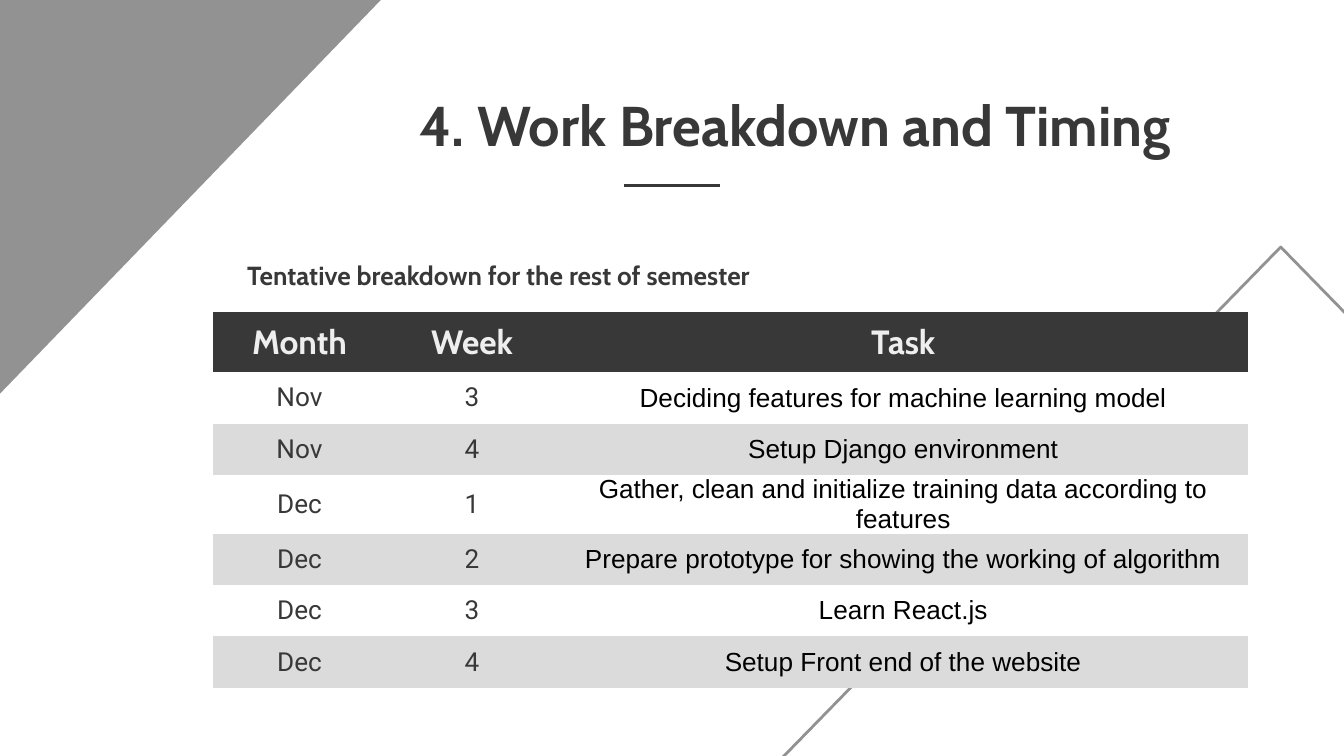
from pptx import Presentation
from pptx.dml.color import RGBColor
from pptx.enum import shapes, text
from pptx.oxml.ns import qn
from pptx.util import Cm, Pt
from lxml import etree

DARK = RGBColor(0x38, 0x38, 0x38)
GREY = RGBColor(0x92, 0x92, 0x92)
BAND = RGBColor(0xDB, 0xDB, 0xDB)
PALE = RGBColor(0xEE, 0xEE, 0xEE)
WHITE = RGBColor(0xFF, 0xFF, 0xFF)
BLACK = RGBColor(0, 0, 0)

NO_TABLE_STYLE = "{2D5ABB26-0587-4C30-8999-92F81FD0307C}"
TASK_COLUMN = 2

HEADINGS = ("Month", "Week", "Task")
SCHEDULE = (
    ("Nov", "3", "Deciding features for machine learning model"),
    ("Nov", "4", "Setup Django environment"),
    ("Dec", "1", "Gather, clean and initialize training data according to features"),
    ("Dec", "2", "Prepare prototype for showing the working of algorithm"),
    ("Dec", "3", "Learn React.js"),
    ("Dec", "4", "Setup Front end of the website"),
)

HEADING_FONT = {"name": "Cabin", "size": Pt(18), "bold": True}
LABEL_FONT = {"name": "Roboto", "size": Pt(14), "bold": False}
TASK_FONT = {"name": "Arial", "size": Pt(14), "bold": False}


def write(frame, words, font, color, align):
    """Fill the frame's first paragraph with one formatted run."""
    para = frame.paragraphs[0]
    para.alignment = align
    span = para.add_run()
    span.text = words
    for key, value in font.items():
        setattr(span.font, key, value)
    span.font.color.rgb = color
    return para


def format_frame(frame):
    inset = Cm(0.25)
    for key, value in {
        "word_wrap": True,
        "auto_size": text.MSO_AUTO_SIZE.NONE,
        "vertical_anchor": text.MSO_ANCHOR.TOP,
        "margin_left": inset,
        "margin_right": inset,
        "margin_top": inset,
        "margin_bottom": inset,
    }.items():
        setattr(frame, key, value)


deck = Presentation()
deck.slide_width, deck.slide_height = Cm(25.4), Cm(14.29)
page = deck.slides.add_slide(deck.slide_layouts[5])

# Background triangles
corner = page.shapes.add_shape(
    shapes.MSO_SHAPE.RIGHT_TRIANGLE, Cm(-0.79), Cm(-0.3), Cm(8.28), Cm(8.56))
corner.shadow.inherit = False
corner.fill.solid()
corner.fill.fore_color.rgb = GREY
corner.line.fill.background()
corner._element.spPr.xfrm.set("flipV", "1")

peak = page.shapes.add_shape(
    shapes.MSO_SHAPE.ISOSCELES_TRIANGLE, Cm(13.92), Cm(4.67), Cm(20.57), Cm(10.54))
peak.shadow.inherit = False
peak.fill.background()
peak.line.color.rgb = GREY
peak.line.width = Pt(1.5)

# Title, rule and subtitle
title = page.shapes.title
title.left, title.top, title.width, title.height = Cm(4.8), Cm(1.47), Cm(20.45), Cm(1.47)
format_frame(title.text_frame)
write(title.text_frame, "4. Work Breakdown and Timing",
      {"name": "Cabin", "size": Pt(30), "bold": True}, DARK, text.PP_ALIGN.CENTER)

rule = page.shapes.add_connector(
    shapes.MSO_CONNECTOR.STRAIGHT, Cm(11.8), Cm(3.5), Cm(13.6), Cm(3.5))
rule.line.color.rgb = DARK
rule.line.width = Pt(1.5)
etree.SubElement(rule._element.spPr, qn("a:effectLst"))

subtitle = page.shapes.add_textbox(Cm(3.15), Cm(4.65), Cm(14.43), Cm(1.47))
format_frame(subtitle.text_frame)
para = write(subtitle.text_frame, "Tentative breakdown for the rest of semester",
             {"name": "Cabin", "size": Pt(14), "bold": True}, DARK, text.PP_ALIGN.LEFT)
para._p.get_or_add_pPr().set("marL", str(Cm(1.27)))

# Schedule table; each task spans the last four of six equal columns
column_width, heading_height, row_height = Cm(3.26), Cm(1.14), Cm(0.97)
row_count, column_count = len(SCHEDULE) + 1, 6
holder = page.shapes.add_table(
    row_count, column_count, Cm(4.03), Cm(5.9),
    column_width * column_count, heading_height + row_height * len(SCHEDULE))
table = holder.table
table.first_row = table.horz_banding = False
table._tbl.tblPr.find(qn("a:tableStyleId")).text = NO_TABLE_STYLE
for column in table.columns:
    column.width = column_width

for r, entries in enumerate((HEADINGS, *SCHEDULE)):
    table.rows[r].height = row_height if r else heading_height
    table.cell(r, TASK_COLUMN).merge(table.cell(r, column_count - 1))
    for c, words in enumerate(entries):
        cell = table.cell(r, c)
        if r == 0:
            fill, font, color = DARK, HEADING_FONT, PALE
        else:
            fill = WHITE if r % 2 else BAND
            font, color = (TASK_FONT, BLACK) if c == TASK_COLUMN else (LABEL_FONT, DARK)
        cell.fill.solid()
        cell.fill.fore_color.rgb = fill
        cell.vertical_anchor = text.MSO_ANCHOR.MIDDLE
        cell.margin_top = cell.margin_bottom = 0
        write(cell.text_frame, words, font, color, text.PP_ALIGN.CENTER)

deck.save("out.pptx")
